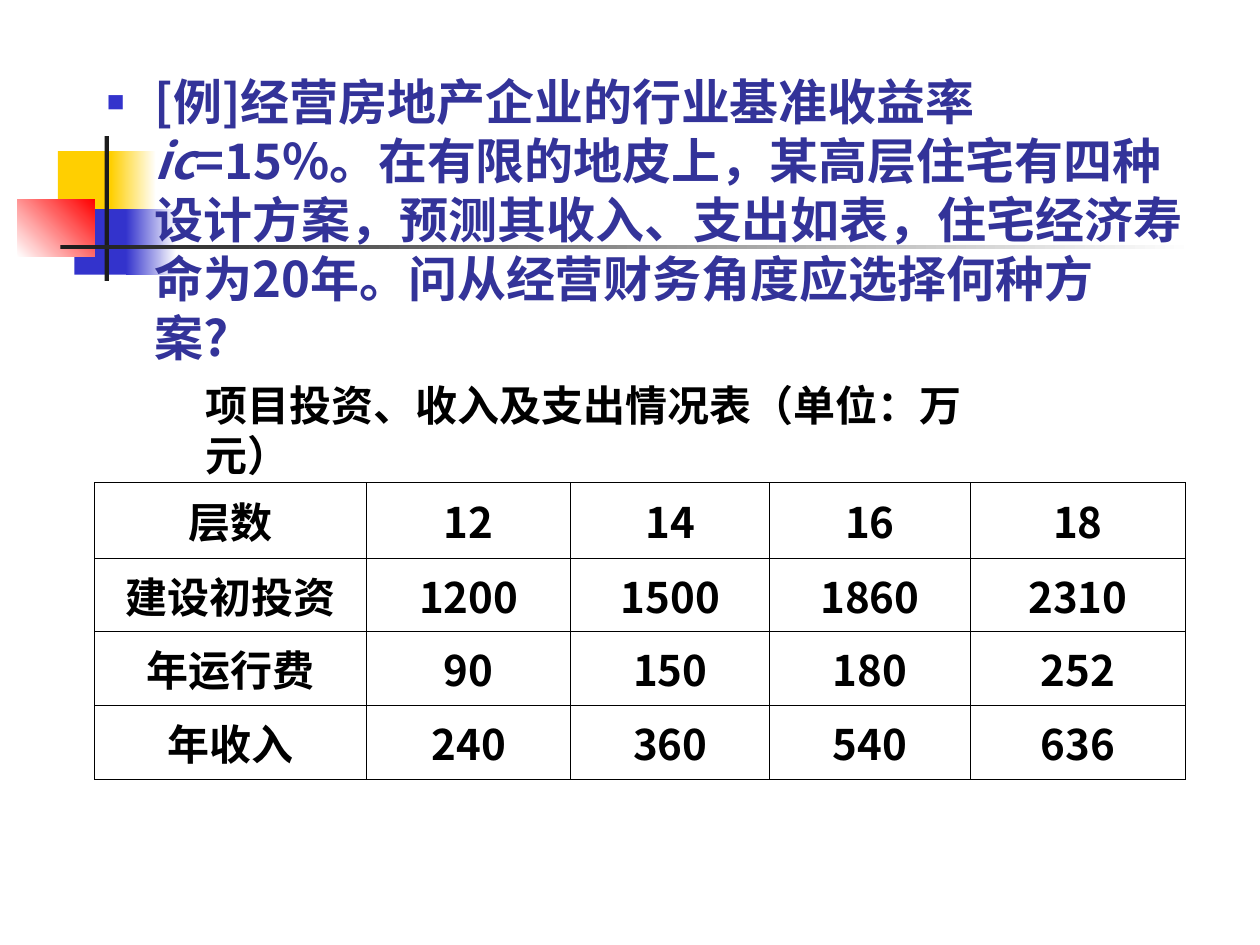
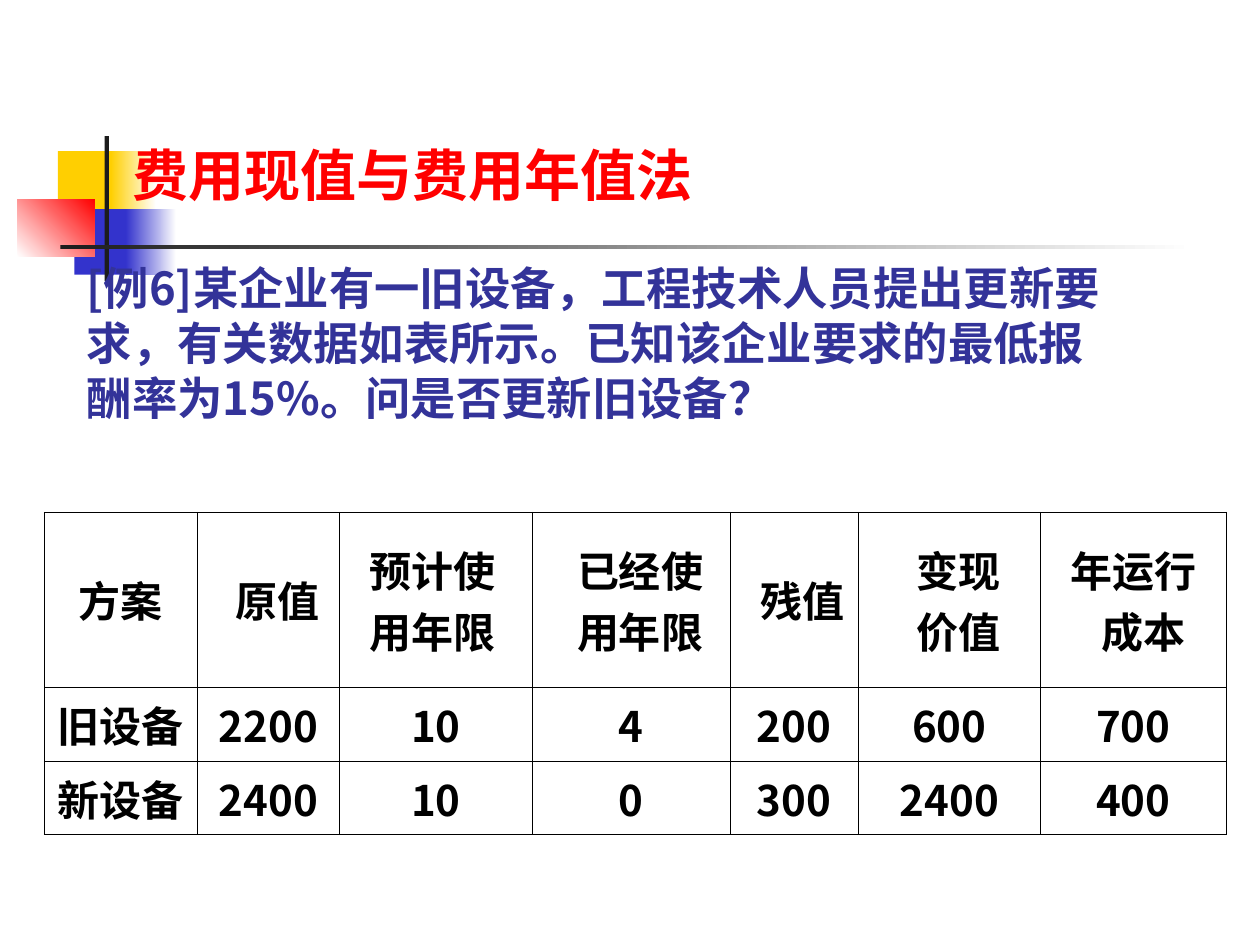
from dataclasses import dataclass
from typing import NamedTuple, Optional

from lxml.etree import SubElement
from pptx import Presentation
from pptx.dml.color import RGBColor
from pptx.enum.shapes import MSO_SHAPE
from pptx.enum.text import MSO_ANCHOR, PP_ALIGN
from pptx.oxml.ns import qn
from pptx.util import Inches, Pt

SLIDE_W, SLIDE_H = Inches(10), Inches(7.5)
COL, ROW = SLIDE_W / 100, SLIDE_H / 75


@dataclass(frozen=True)
class Theme:
    """Colours, typeface and type sizes of the deck."""
    font: str = "Noto Sans CJK SC"
    white: str = "FFFFFF"
    black: str = "000000"
    ink: str = "1C1C1C"
    yellow: str = "FFCF01"
    blue: str = "3333CC"
    red: str = "FF0000"
    navy: str = "333399"
    title: float = 32
    question: float = 28
    case: float = 25.9
    table: float = 24
    border: float = 0.45


T = Theme()


class Box(NamedTuple):
    """A rectangle in grid columns and rows."""
    x: float
    y: float
    w: float
    h: float

    def emu(self) -> tuple[int, int, int, int]:
        """Return left, top, width and height in EMU."""
        return (round(self.x * COL), round(self.y * ROW),
                round(self.w * COL), round(self.h * ROW))


class Bar(NamedTuple):
    """A decorative block, plain or fading to a second colour."""
    box: Box
    color: str
    fade: Optional[str] = None
    angle: float = 0


class CellStyle(NamedTuple):
    """First-line indent and alignment of a table cell."""
    first: float = -3.8
    align: PP_ALIGN = PP_ALIGN.CENTER


class Grid(NamedTuple):
    """A table with its column widths, row heights and header styles."""
    x: float
    y: float
    cols: list[float]
    rows: list[float]
    data: list[list[str]]
    header: list[CellStyle]


BARS = [
    Bar(Box(4.6, 12, 4.8, 5.2), T.yellow),
    Bar(Box(8.8, 12, 3.6, 5.2), T.yellow, T.white),
    Bar(Box(5.9, 16.6, 4.6, 5.2), T.blue),
    Bar(Box(10, 16.6, 4, 5.2), T.blue, T.white),
    Bar(Box(1.4, 15.8, 6.1, 4.6), T.white, T.red, 45),
    Bar(Box(8.3, 10.8, 0.35, 11.5), T.ink),
    Bar(Box(4.8, 19.45, 90, 0.35), T.ink, T.white),
]

PLAIN = CellStyle()
SHIFTED = CellStyle(-2.4)
SHIFTED_LEFT = CellStyle(-2.4, PP_ALIGN.LEFT)

FLOORS = Grid(
    7.5, 38.3, [21.6, 16.2, 15.8, 15.9, 17.1], [6, 5.85, 5.85, 5.85],
    [["层数", "12", "14", "16", "18"],
     ["建设初投资", "1200", "1500", "1860", "2310"],
     ["年运行费", "90", "150", "180", "252"],
     ["年收入", "240", "360", "540", "636"]],
    [PLAIN] * 5)

EQUIPMENT = Grid(
    3.5, 40.65, [12.15, 11.3, 15.3, 15.7, 10.15, 14.5, 14.7], [13.9, 5.85, 5.85],
    [["方案", "原值", "预计使\n用年限", "已经使\n用年限", "残值", "变现\n价值", "年运行成本"],
     ["旧设备", "2200", "10", "4", "200", "600", "700"],
     ["新设备", "2400", "10", "0", "300", "2400", "400"]],
    [PLAIN, SHIFTED, SHIFTED_LEFT, SHIFTED, SHIFTED, SHIFTED, SHIFTED_LEFT])


def add_bullet(p_pr, color: str) -> None:
    """Give a paragraph a small square bullet."""
    SubElement(SubElement(p_pr, qn("a:buClr")), qn("a:srgbClr"), val=color)
    SubElement(p_pr, qn("a:buSzPct"), val="60000")
    SubElement(p_pr, qn("a:buFont"), typeface="Arial")
    SubElement(p_pr, qn("a:buChar"), char="■")


def put_text(tf, text: str, *, size: float, color: str = T.black,
             align: PP_ALIGN = PP_ALIGN.LEFT, margin: float = 0, first: float = 0,
             spacing: float = 1, gap: float = 0, bullet: Optional[str] = None) -> None:
    """Fill a text frame: lines are paragraphs, bars break lines, stars mark italics."""
    for i, line in enumerate(text.split("\n")):
        p = tf.add_paragraph() if i else tf.paragraphs[0]
        p_pr = p._p.get_or_add_pPr()
        p_pr.set("marL", str(round(margin * COL)))
        p_pr.set("indent", str(round(first * COL)))
        if bullet:
            add_bullet(p_pr, bullet)
        p.alignment, p.line_spacing = align, spacing
        p.space_before = Pt(gap if i else 0)
        for k, row in enumerate(line.split("|")):
            if k:
                p.add_line_break()
            for j, part in enumerate(row.split("*")):
                r = p.add_run()
                r.text = part
                r.font.name, r.font.size = T.font, Pt(size)
                r.font.bold, r.font.italic = True, j % 2 == 1
                r.font.color.rgb = RGBColor.from_string(color)
                SubElement(r._r.get_or_add_rPr(), qn("a:ea"), typeface=T.font)


def add_text(s, box: Box, text: str, *, side: float = 1, edge: float = 0.5,
             anchor: MSO_ANCHOR = MSO_ANCHOR.TOP, **fmt) -> None:
    """Add a wrapped text box with side and edge insets."""
    tf = s.shapes.add_textbox(*box.emu()).text_frame
    tf.word_wrap, tf.vertical_anchor = True, anchor
    tf.margin_left = tf.margin_right = round(side * COL)
    tf.margin_top = tf.margin_bottom = round(edge * ROW)
    put_text(tf, text, **fmt)


def add_bar(s, bar: Bar) -> None:
    """Draw one decorative block."""
    sp = s.shapes.add_shape(MSO_SHAPE.RECTANGLE, *bar.box.emu())
    sp.shadow.inherit = False
    sp.line.fill.background()
    if bar.fade is None:
        sp.fill.solid()
        sp.fill.fore_color.rgb = RGBColor.from_string(bar.color)
        return
    sp.fill.gradient()
    sp.fill.gradient_angle = bar.angle
    for stop, position, color in zip(sp.fill.gradient_stops, (0, 1), (bar.color, bar.fade)):
        stop.position = position
        stop.color.rgb = RGBColor.from_string(color)


def add_borders(cell) -> None:
    """Outline a table cell and leave it unfilled."""
    tc_pr = cell._tc.get_or_add_tcPr()
    for side in ("lnL", "lnR", "lnT", "lnB"):
        ln = SubElement(tc_pr, qn(f"a:{side}"), w=str(Pt(T.border)))
        SubElement(SubElement(ln, qn("a:solidFill")), qn("a:srgbClr"), val=T.black)
    cell.fill.background()


def add_grid(s, grid: Grid) -> None:
    """Draw a bordered table."""
    box = Box(grid.x, grid.y, sum(grid.cols), sum(grid.rows))
    table = s.shapes.add_table(len(grid.rows), len(grid.cols), *box.emu()).table
    table.first_row = table.horz_banding = False
    for column, width in zip(table.columns, grid.cols):
        column.width = round(width * COL)
    for i, (row, height) in enumerate(zip(table.rows, grid.rows)):
        row.height = round(height * ROW)
        for j, cell in enumerate(row.cells):
            style = PLAIN if i else grid.header[j]
            cell.vertical_anchor = MSO_ANCHOR.MIDDLE
            put_text(cell.text_frame, grid.data[i][j], size=T.table,
                     align=style.align, margin=3.8, first=style.first)
            add_borders(cell)


def new_slide(prs):
    """Add a blank slide carrying the shared decoration."""
    s = prs.slides.add_slide(prs.slide_layouts[6])
    for bar in BARS:
        add_bar(s, bar)
    return s


def build_floors(prs) -> None:
    """Build the slide on choosing a housing design."""
    s = new_slide(prs)
    add_text(s, Box(7.5, 5.2, 88.2, 31.5),
             "[例]经营房地产企业的行业基准收益率*ic*=15%。在有限的地皮上，某高层住宅有四种设计方案，"
             "预测其收入、支出如表，住宅经济寿命为20年。问从经营财务角度应选择何种方|案?",
             size=T.question, color=T.navy, margin=3.8, first=-3.8, bullet=T.blue)
    add_grid(s, FLOORS)
    add_text(s, Box(15.3, 29.6, 66.1, 9), "项目投资、收入及支出情况表（单位：万元）",
             anchor=MSO_ANCHOR.MIDDLE, size=T.table)


def build_equipment(prs) -> None:
    """Build the slide on replacing old equipment."""
    s = new_slide(prs)
    add_text(s, Box(7.5, 9.9, 85.2, 7.9), "费用现值与费用年值法", side=0, edge=0,
             anchor=MSO_ANCHOR.MIDDLE, size=T.title, color=T.red, margin=3)
    add_text(s, Box(5.9, 21, 90.6, 16.8),
             "[例6]某企业有一旧设备，工程技术人员提出更新要\n"
             "求，有关数据如表所示。已知该企业要求的最低报\n"
             "酬率为15%。问是否更新旧设备？",
             size=T.case, color=T.navy, margin=3.8, first=-3.8, spacing=0.8, gap=6.5)
    add_grid(s, EQUIPMENT)


def main() -> None:
    """Build and save the deck."""
    prs = Presentation()
    prs.slide_width, prs.slide_height = SLIDE_W, SLIDE_H
    build_floors(prs)
    build_equipment(prs)
    prs.save("out.pptx")


if __name__ == "__main__":
    main()
